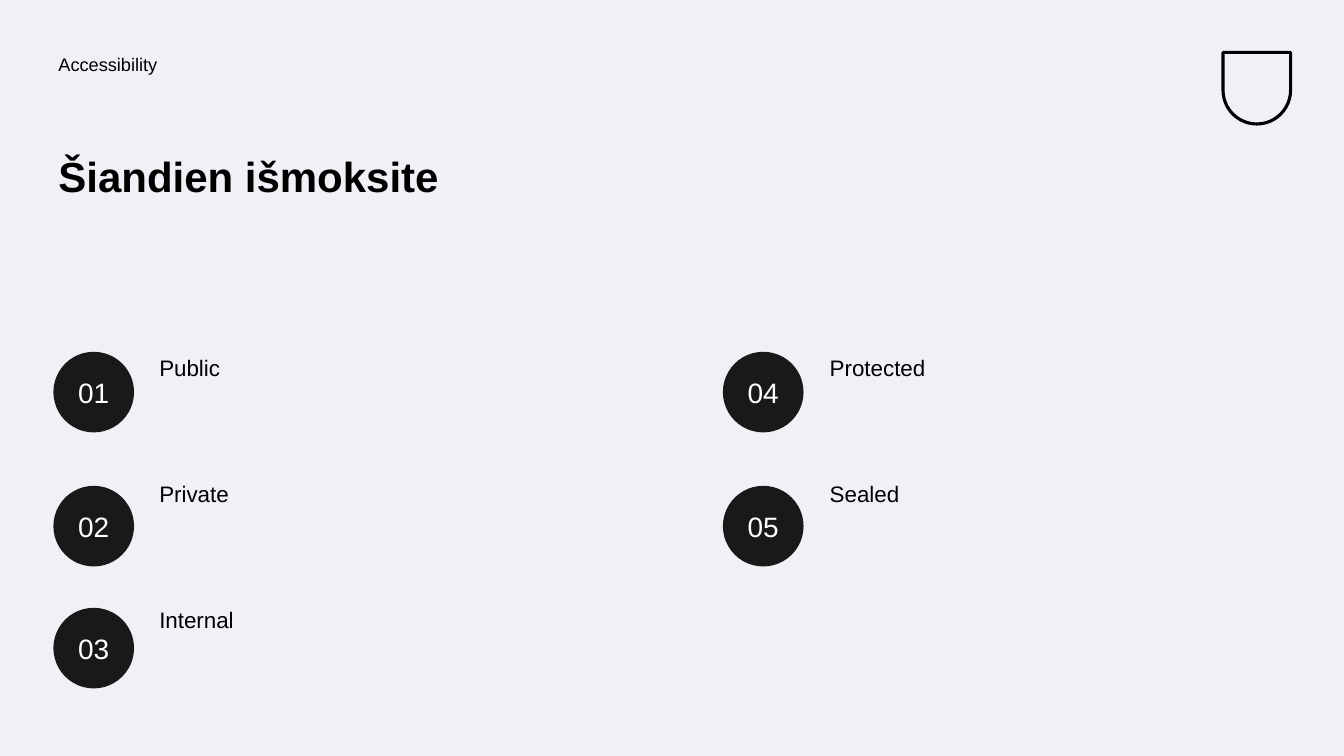
from dataclasses import dataclass

from pptx import Presentation
from pptx.dml.color import RGBColor
from pptx.enum import shapes, text
from pptx.util import Inches, Pt


@dataclass(frozen=True)
class Theme:
    font: str = "Arial"
    background: str = "F0F1F6"
    ink: str = "000000"
    badge: str = "191919"
    badge_text: str = "FEFFFF"
    label_size: int = 13
    title_size: int = 30
    topic_size: int = 16
    number_size: int = 20
    line_spacing: float = 0.9
    space_before: int = 10
    inset: float = 0.05


class SlideBuilder:
    def __init__(self, prs, theme):
        self.theme = theme
        self.slide = prs.slides.add_slide(prs.slide_layouts[5])
        fill = self.slide.background.fill
        fill.solid()
        fill.fore_color.rgb = RGBColor.from_string(theme.background)

    def set_text(self, sp, content, size, color, bold=False,
                 align=text.PP_ALIGN.LEFT, anchor=text.MSO_ANCHOR.TOP):
        """Fill a shape with one styled paragraph and return the paragraph."""
        tf = sp.text_frame
        tf.word_wrap = True
        tf.auto_size = text.MSO_AUTO_SIZE.NONE
        tf.vertical_anchor = anchor
        tf.margin_left = tf.margin_right = Inches(self.theme.inset)
        tf.margin_top = tf.margin_bottom = Inches(self.theme.inset)
        p = tf.paragraphs[0]
        p.text = content
        p.alignment = align
        p.font.name = self.theme.font
        p.font.size = Pt(size)
        p.font.bold = bold
        p.font.color.rgb = RGBColor.from_string(color)
        return p

    def title(self, content, left, top, width, height):
        sp = self.slide.shapes.title
        sp.left, sp.top = Inches(left), Inches(top)
        sp.width, sp.height = Inches(width), Inches(height)
        p = self.set_text(sp, content, self.theme.title_size, self.theme.ink, bold=True)
        p.line_spacing = self.theme.line_spacing

    def label(self, content, left, top, width, height, size):
        sp = self.slide.shapes.add_textbox(
            Inches(left), Inches(top), Inches(width), Inches(height))
        p = self.set_text(sp, content, size, self.theme.ink)
        p.line_spacing = self.theme.line_spacing
        p.space_before = Pt(self.theme.space_before)

    def badge(self, number, left, top, diameter):
        sp = self.slide.shapes.add_shape(
            shapes.MSO_SHAPE.OVAL, Inches(left), Inches(top),
            Inches(diameter), Inches(diameter))
        sp.shadow.inherit = False
        sp.fill.solid()
        sp.fill.fore_color.rgb = RGBColor.from_string(self.theme.badge)
        sp.line.fill.background()
        self.set_text(sp, f"{number:02d}", self.theme.number_size, self.theme.badge_text,
                      align=text.PP_ALIGN.CENTER, anchor=text.MSO_ANCHOR.MIDDLE)

    def shield(self, left, top, width, height):
        sp = self.slide.shapes.add_shape(
            shapes.MSO_SHAPE.ROUND_2_SAME_RECTANGLE, Inches(left), Inches(top),
            Inches(width), Inches(height))
        sp.adjustments[0] = 0.5
        sp.rotation = 180
        sp.shadow.inherit = False
        sp.fill.background()
        sp.line.color.rgb = RGBColor.from_string(self.theme.ink)
        sp.line.width = Pt(2.25)


def main():
    prs = Presentation()
    prs.slide_width, prs.slide_height = Inches(13.33), Inches(7.5)
    theme = Theme()
    builder = SlideBuilder(prs, theme)

    builder.shield(12.13, 0.52, 0.67, 0.71)
    builder.label("Accessibility", 0.53, 0.5, 6.14, 0.5, theme.label_size)
    builder.title("Šiandien išmoksite", 0.53, 1.5, 5.64, 1.49)

    topics = ["Public", "Private", "Internal", "Protected", "Sealed"]
    columns = [(0.53, 1.53), (7.17, 8.18)]  # badge left, label left
    badge_tops = [3.49, 4.82, 6.03]
    for i, topic in enumerate(topics):
        column, row = divmod(i, len(badge_tops))
        badge_left, label_left = columns[column]
        builder.label(topic, label_left, 3.49 + 1.25 * row, 4.63, 0.99, theme.topic_size)
        builder.badge(i + 1, badge_left, badge_tops[row], 0.8)

    prs.save("out.pptx")


if __name__ == "__main__":
    main()
